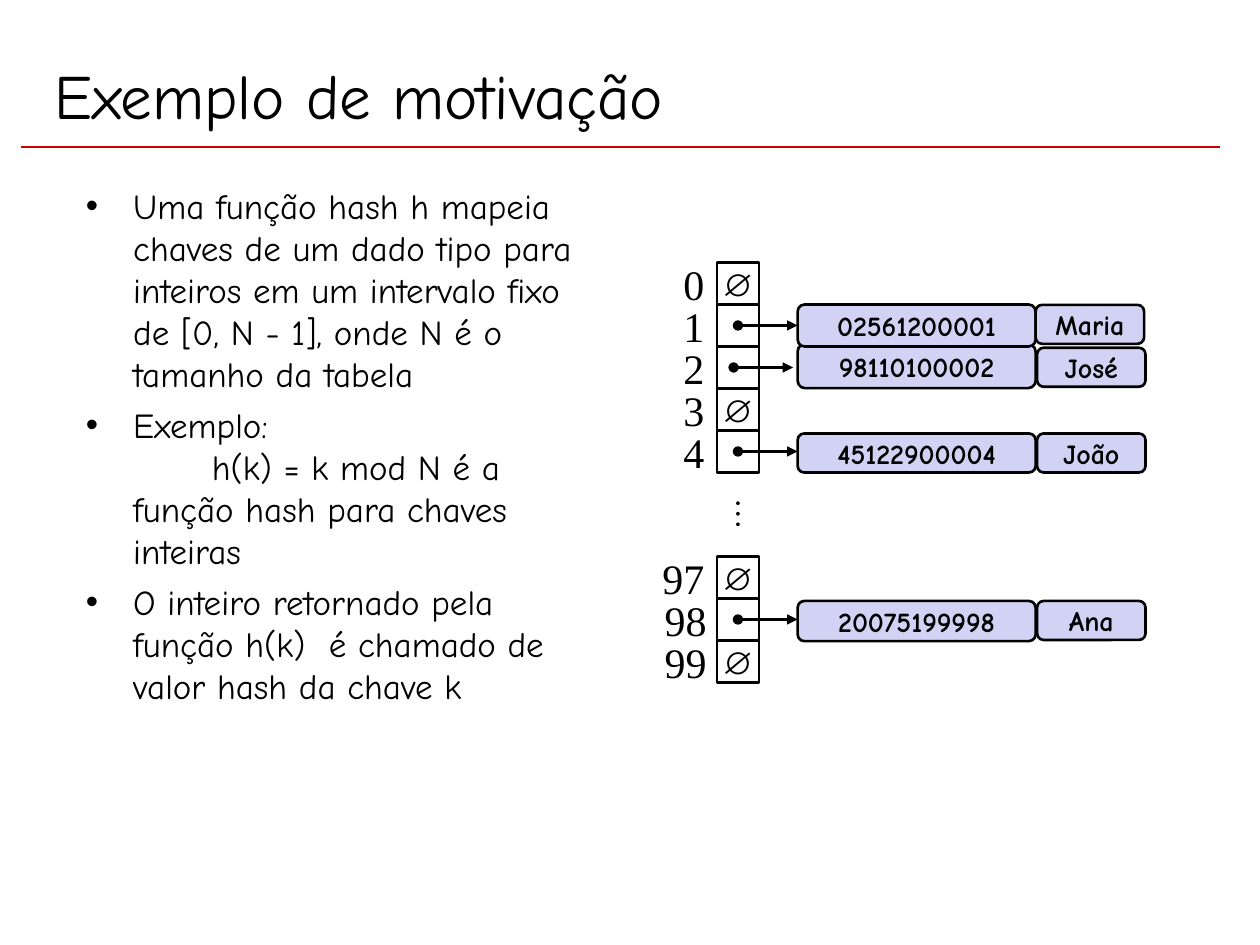
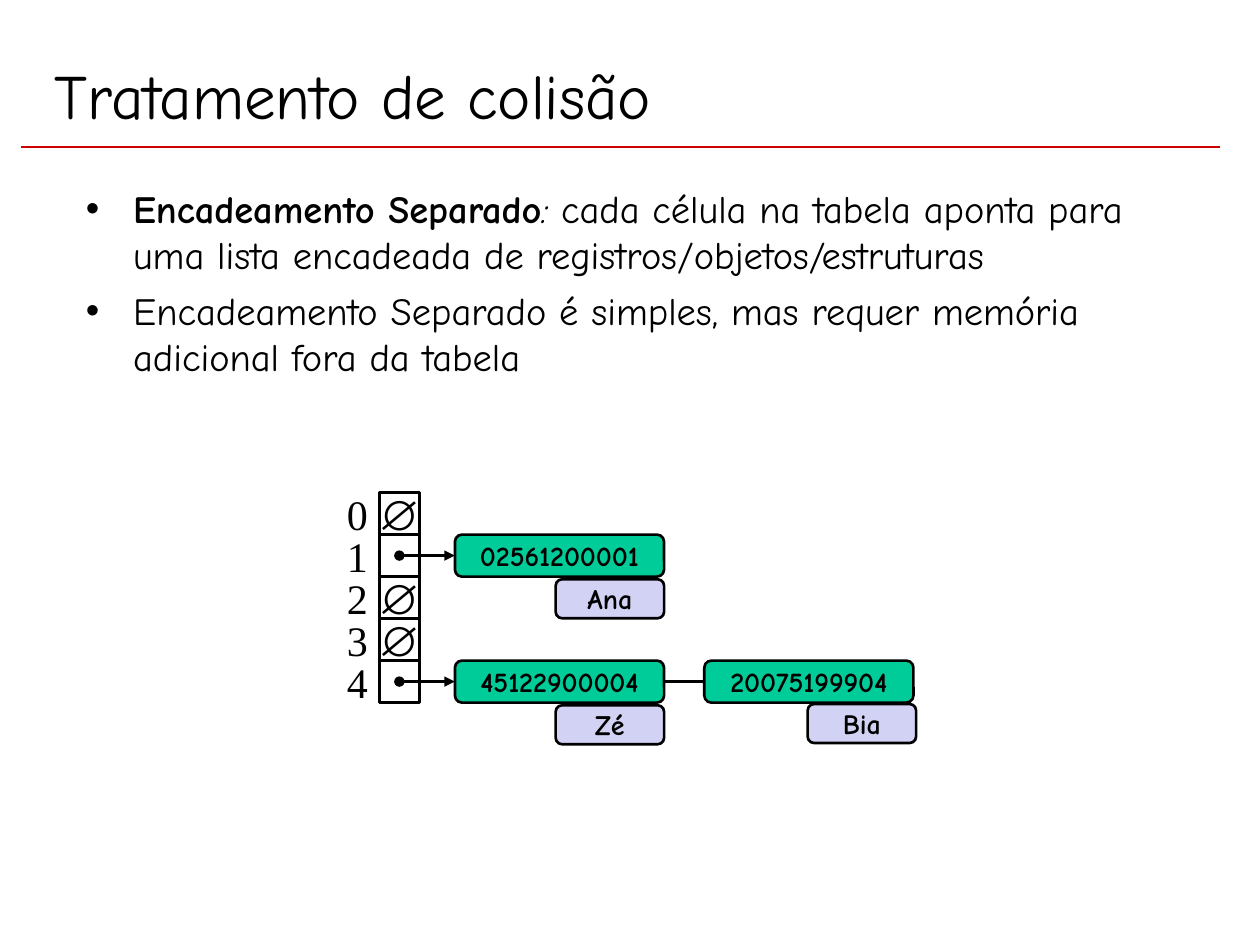
from lxml.etree import SubElement
from pptx import Presentation
from pptx.dml.color import RGBColor
from pptx.enum.shapes import MSO_CONNECTOR, MSO_SHAPE
from pptx.enum.text import MSO_ANCHOR, PP_ALIGN
from pptx.oxml.ns import qn
from pptx.util import Pt

# Shared style
BLACK, RED, LILAC, GREEN = "000000", "CC0000", "D2D2F4", "00CC99"
HAND, SERIF, SANS = "Comic Neue", "Times New Roman", "Arial"
LINE_W = 1.5
ROW_H = 24
NAME_W, NAME_H = 62, 22.3

# Content: a bullet is a list of (text, style) runs
MOTIVATION = {
    "title": "Exemplo de motivação",
    "body_width": 300, "body_size": 20,
    "bullets": [
        [("Uma função hash h mapeia chaves de um dado tipo para inteiros em um "
          "intervalo fixo de [0, N - 1], onde N é o tamanho da tabela", "")],
        [("Exemplo:\n\th(k) = k mod N é a função hash para chaves inteiras", "")],
        [("O inteiro retornado pela função h(k)  é chamado de valor hash da chave k", "")],
    ],
    "table": (409.7, 150, 24), "null_size": 18,    # left, top, cell width
    # (slot, label, label nudge, is empty)
    "rows": [(0, "0", 0, True), (1, "1", 0, False), (2, "2", 0, False),
             (3, "3", 0, True), (4, "4", 0, False), (7, "97", 0, True),
             (8, "98", 1.3, False), (9, "99", 1.3, True)],
    # (slot, pointer shift)
    "pointers": [(1, 0), (2, -2.5), (4, 0), (8, 0)],
    "pointer_length": 34,
    "key_fill": LILAC, "key_width": 136,
    # (key, left, top, height)
    "keys": [("45122900004", 455.8, 247.7, 22.3), ("98110100002", 455.8, 196.6, 25.2),
             ("20075199998", 455.8, 343.4, 23), ("02561200001", 455.8, 174, 24)],
    # (name, left, top)
    "names": [("Maria", 591.8, 174.2), ("José", 592.6, 198.7),
              ("João", 592.6, 247.7), ("Ana", 592.6, 343.4)],
}
COLLISION = {
    "title": "Tratamento de colisão",
    "body_width": 612, "body_size": 22,
    "bullets": [
        [("Encadeamento Separado", "b"), (":", "i"),
         (" cada célula na tabela aponta para uma lista encadeada de "
          "registros/objetos/estruturas", "")],
        [("Encadeamento Separado é simples, mas requer memória adicional fora da tabela", "")],
    ],
    "table": (216.7, 281.5, 23), "null_size": 24,
    "rows": [(0, "0", 0.7, True), (1, "1", 0.7, False), (2, "2", 0.7, True),
             (3, "3", 0.7, True), (4, "4", 0.7, False)],
    "pointers": [(1, 0), (4, 0)],
    "pointer_length": 31.7,
    "key_fill": GREEN, "key_width": 119.5,
    "keys": [("02561200001", 260, 305.5, 24), ("45122900004", 260, 377.5, 24),
             ("20075199904", 402.5, 377.5, 24)],
    "names": [("Ana", 317.5, 331), ("Zé", 317.5, 403), ("Bia", 461.5, 402.3)],
}


def rgb(color):
    return RGBColor.from_string(color)


def style(r, size, font, bold=False, italic=False):
    r.font.size, r.font.name = Pt(size), font
    r.font.bold, r.font.italic = bold, italic
    r.font.color.rgb = rgb(BLACK)


def write(sp, text, size, font, bold=False, align=PP_ALIGN.CENTER,
          anchor=MSO_ANCHOR.MIDDLE, wrap=False):
    tf = sp.text_frame
    tf.word_wrap, tf.vertical_anchor = wrap, anchor
    tf.text = text
    p = tf.paragraphs[0]
    p.alignment = align
    style(p.runs[0], size, font, bold)


def textbox(s, left, top, width, height):
    return s.shapes.add_textbox(Pt(left), Pt(top), Pt(width), Pt(height))


def box(s, kind, left, top, width, height, fill=None):
    sp = s.shapes.add_shape(kind, Pt(left), Pt(top), Pt(width), Pt(height))
    sp.shadow.inherit = False
    if fill:
        sp.fill.solid()
        sp.fill.fore_color.rgb = rgb(fill)
    else:
        sp.fill.background()
    sp.line.color.rgb, sp.line.width = rgb(BLACK), Pt(LINE_W)
    return sp


def rounded(s, text, left, top, width, height, fill):
    sp = box(s, MSO_SHAPE.ROUNDED_RECTANGLE, left, top, width, height, fill)
    write(sp, text, 16, HAND, bold=True)


def hline(s, x1, x2, y, color=BLACK, pointer=False):
    c = s.shapes.add_connector(MSO_CONNECTOR.STRAIGHT, Pt(x1), Pt(y), Pt(x2), Pt(y))
    c.line.color.rgb, c.line.width = rgb(color), Pt(LINE_W)
    if pointer:
        ln = c.line._get_or_add_ln()
        SubElement(ln, qn("a:headEnd"), type="oval")
        SubElement(ln, qn("a:tailEnd"), type="triangle")
    SubElement(c._element.spPr, qn("a:effectLst"))


def add_bullet(p, size):
    p.space_before = Pt(size / 4)
    pPr = p._p.get_or_add_pPr()
    pPr.set("marL", str(Pt(27)))
    pPr.set("indent", str(Pt(-27)))
    SubElement(pPr, qn("a:buFont"), typeface=SANS)
    SubElement(pPr, qn("a:buChar"), char="•")
    tabs = SubElement(pPr, qn("a:tabLst"))
    SubElement(tabs, qn("a:tab"), pos=str(Pt(72)), algn="l")


def add_body(s, bullets, width, size):
    tf = textbox(s, 42, 102, width, 366).text_frame
    tf.word_wrap = True
    for i, runs in enumerate(bullets):
        p = tf.add_paragraph() if i else tf.paragraphs[0]
        p.text = runs[0][0]
        add_bullet(p, size)
        for r in p.runs:
            style(r, size, HAND, bold=runs[0][1] == "b")
        for text, look in runs[1:]:
            r = p.add_run()
            r.text = text
            style(r, size, HAND, bold=look == "b", italic=look == "i")


def add_hash_table(s, d):
    left, top, width = d["table"]
    # Cells
    for slot, _, _, empty in d["rows"]:
        cell = box(s, MSO_SHAPE.RECTANGLE, left, top + slot * ROW_H, width, ROW_H)
        if empty:
            write(cell, "∅", d["null_size"], SANS)
    # Index labels, right edge on the table, wide enough for digits and insets
    for slot, label, nudge, _ in d["rows"]:
        w = 16 + 12 * len(label)
        tb = textbox(s, left + nudge + 0.8 - w, top + slot * ROW_H - 6, w, 36)
        write(tb, label, 24, SERIF, anchor=MSO_ANCHOR.TOP)
    # Records
    for key, x, y, h in d["keys"]:
        rounded(s, key, x, y, d["key_width"], h, d["key_fill"])
    for name, x, y in d["names"]:
        rounded(s, name, x, y, NAME_W, NAME_H, LILAC)
    # Pointers, from the centre of a cell
    for slot, shift in d["pointers"]:
        x = left + width / 2 + shift
        hline(s, x, x + d["pointer_length"], top + (slot + 0.5) * ROW_H, pointer=True)


def add_slide(prs, d):
    s = prs.slides.add_slide(prs.slide_layouts[6])
    hline(s, 12, 697, 84, RED)
    write(textbox(s, 24, 18, 648, 72), d["title"], 36, HAND,
          align=PP_ALIGN.LEFT, wrap=True)
    add_body(s, d["bullets"], d["body_width"], d["body_size"])
    add_hash_table(s, d)
    return s


def main():
    prs = Presentation()
    prs.slide_width, prs.slide_height = Pt(720), Pt(540)

    # Hash function example, with the skipped rows marked
    s = add_slide(prs, MOTIVATION)
    gap = textbox(s, 411.8, 279.4, 32.4, 28.8)
    gap.rotation = 90
    write(gap, "…", 18, SERIF, anchor=MSO_ANCHOR.TOP)

    # Separate chaining, with the link between the two chained keys
    s = add_slide(prs, COLLISION)
    hline(s, 380, 402, 389.5)

    prs.save("out.pptx")


if __name__ == "__main__":
    main()
